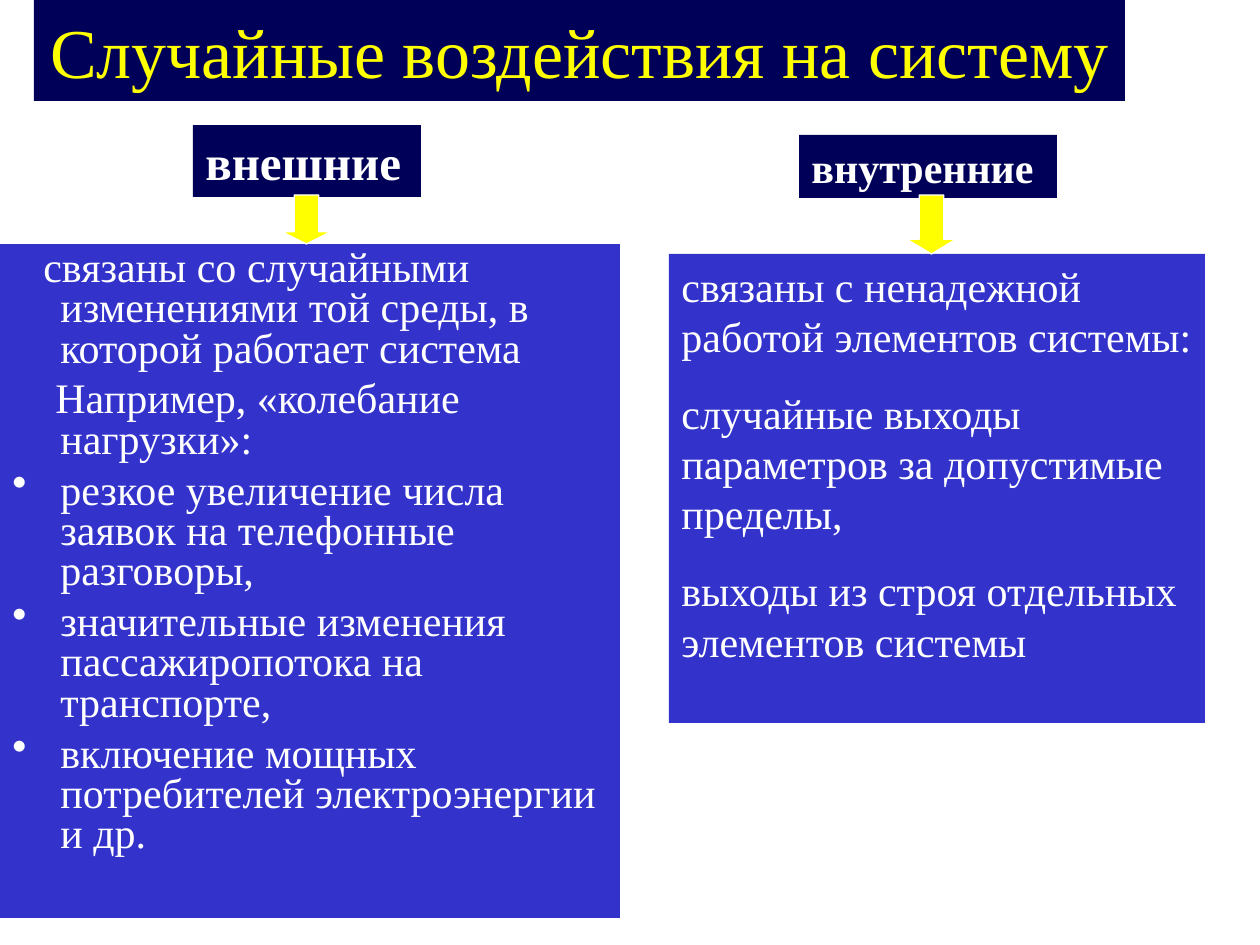
from lxml import etree
from pptx import Presentation
from pptx.dml.color import RGBColor
from pptx.enum.shapes import MSO_SHAPE as Shape
from pptx.enum.text import MSO_ANCHOR as Anchor, PP_ALIGN as Align
from pptx.oxml.ns import qn
from pptx.util import Emu, Pt

EMU_PER_PX = 914400 / 126
FONT = "Times New Roman"
NAVY = RGBColor(0x00, 0x00, 0x58)
BLUE = RGBColor(0x33, 0x33, 0xCC)
YELLOW = RGBColor(0xFF, 0xFF, 0x00)
WHITE = RGBColor(0xFF, 0xFF, 0xFF)

HANGING = 48
# (text, first-line indent in px, has a bullet)
EXTERNAL = [
    ("связаны со случайными изменениями той среды, в которой работает система", -17, False),
    ("Например, «колебание нагрузки»:", -5, False),
    ("резкое увеличение числа заявок на телефонные разговоры,", -HANGING, True),
    ("значительные изменения пассажиропотока на транспорте,", -HANGING, True),
    ("включение мощных потребителей электроэнергии и др.", -HANGING, True),
]
INTERNAL = [
    "связаны с ненадежной работой элементов системы:",
    "случайные выходы параметров за допустимые пределы,",
    "выходы из строя отдельных элементов системы",
]


def px(length):
    return Emu(round(length * EMU_PER_PX))


def add_panel(slide, left, top, width, height, fill, anchor=Anchor.TOP):
    """Add a filled text box and return its text frame."""
    panel = slide.shapes.add_textbox(px(left), px(top), px(width), px(height))
    panel.fill.solid()
    panel.fill.fore_color.rgb = fill
    frame = panel.text_frame
    frame.word_wrap = True
    frame.vertical_anchor = anchor
    return frame


def add_text(frame, text, size=24, color=WHITE, bold=False, align=Align.LEFT,
             before=0, spacing=None):
    """Write one paragraph, using the empty first one if it is free."""
    paragraph = frame.paragraphs[0]
    if paragraph.runs:
        paragraph = frame.add_paragraph()
    paragraph.alignment = align
    paragraph.space_before = Pt(before)
    paragraph.line_spacing = spacing
    run = paragraph.add_run()
    run.text = text
    font = run.font
    font.name, font.size, font.bold = FONT, Pt(size), bold
    font.color.rgb = color
    return paragraph


def set_indent(paragraph, first_line, bullet):
    properties = paragraph._p.get_or_add_pPr()
    properties.set("marL", str(px(HANGING)))
    properties.set("indent", str(px(first_line)))
    if bullet:
        etree.SubElement(properties, qn("a:buChar")).set("char", "•")


def add_down_arrow(slide, left, top, width, height, head):
    arrow = slide.shapes.add_shape(Shape.DOWN_ARROW, px(left), px(top), px(width), px(height))
    arrow.shadow.inherit = False
    arrow.adjustments[0] = 0.5
    arrow.adjustments[1] = head
    arrow.fill.solid()
    arrow.fill.fore_color.rgb = YELLOW
    arrow.line.color.rgb = WHITE
    arrow.line.width = Pt(0.75)


def main():
    presentation = Presentation()
    presentation.slide_width, presentation.slide_height = px(1260), px(945)
    slide = presentation.slides.add_slide(presentation.slide_layouts[6])

    title = add_panel(slide, 34, 0, 1091, 101, NAVY, Anchor.MIDDLE)
    add_text(title, "Случайные воздействия на систему", size=40, color=YELLOW,
             align=Align.CENTER)

    external = add_panel(slide, 0, 244, 620, 674, BLUE)
    for text, first_line, bullet in EXTERNAL:
        paragraph = add_text(external, text, before=6, spacing=0.8)
        set_indent(paragraph, first_line, bullet)

    external_heading = add_panel(slide, 193, 125, 228, 72, NAVY)
    add_text(external_heading, "внешние", size=28, bold=True, before=17.5)
    internal_heading = add_panel(slide, 799, 135, 258, 63, NAVY)
    add_text(internal_heading, "внутренние", bold=True, before=15)

    internal = add_panel(slide, 669, 254, 536, 469, BLUE)
    for text in INTERNAL:
        add_text(internal, text, before=15)

    add_down_arrow(slide, 282, 195, 49, 49, head=0.25)
    add_down_arrow(slide, 907, 195, 49, 59, head=0.3)

    presentation.save("out.pptx")


if __name__ == "__main__":
    main()
